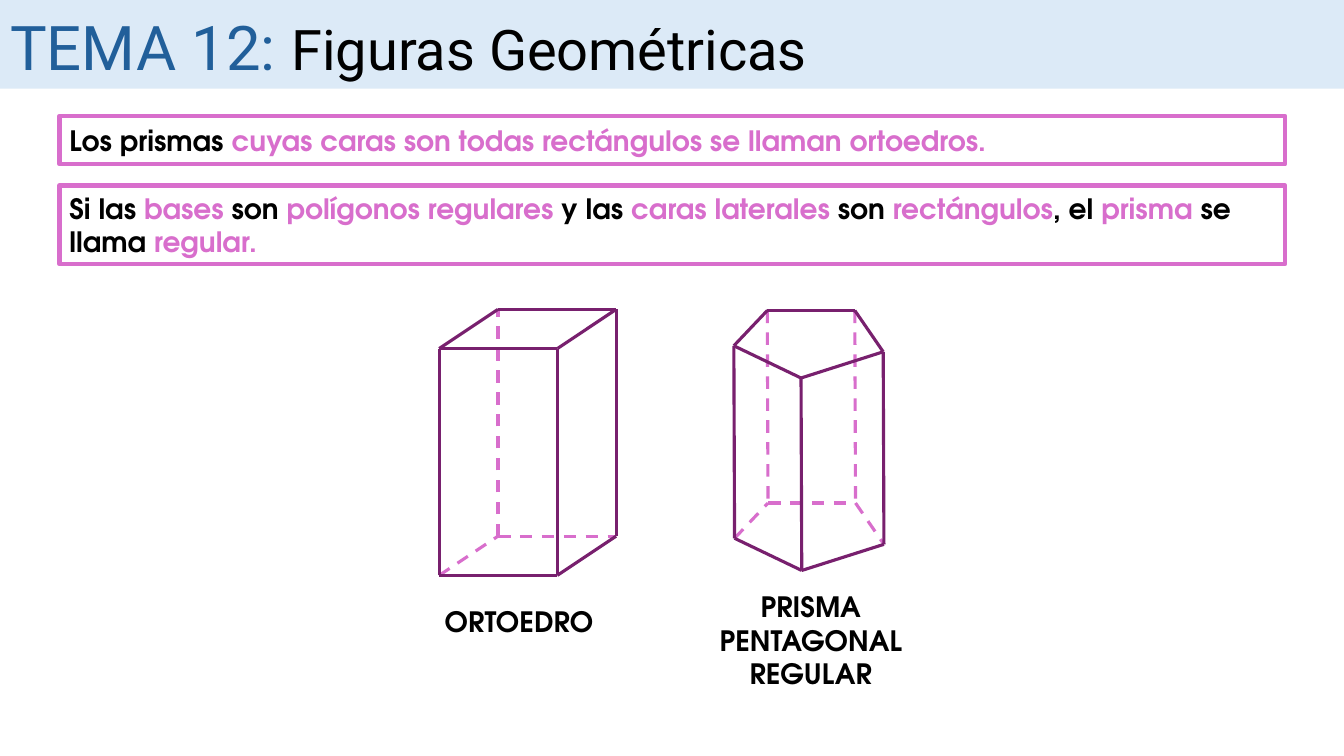
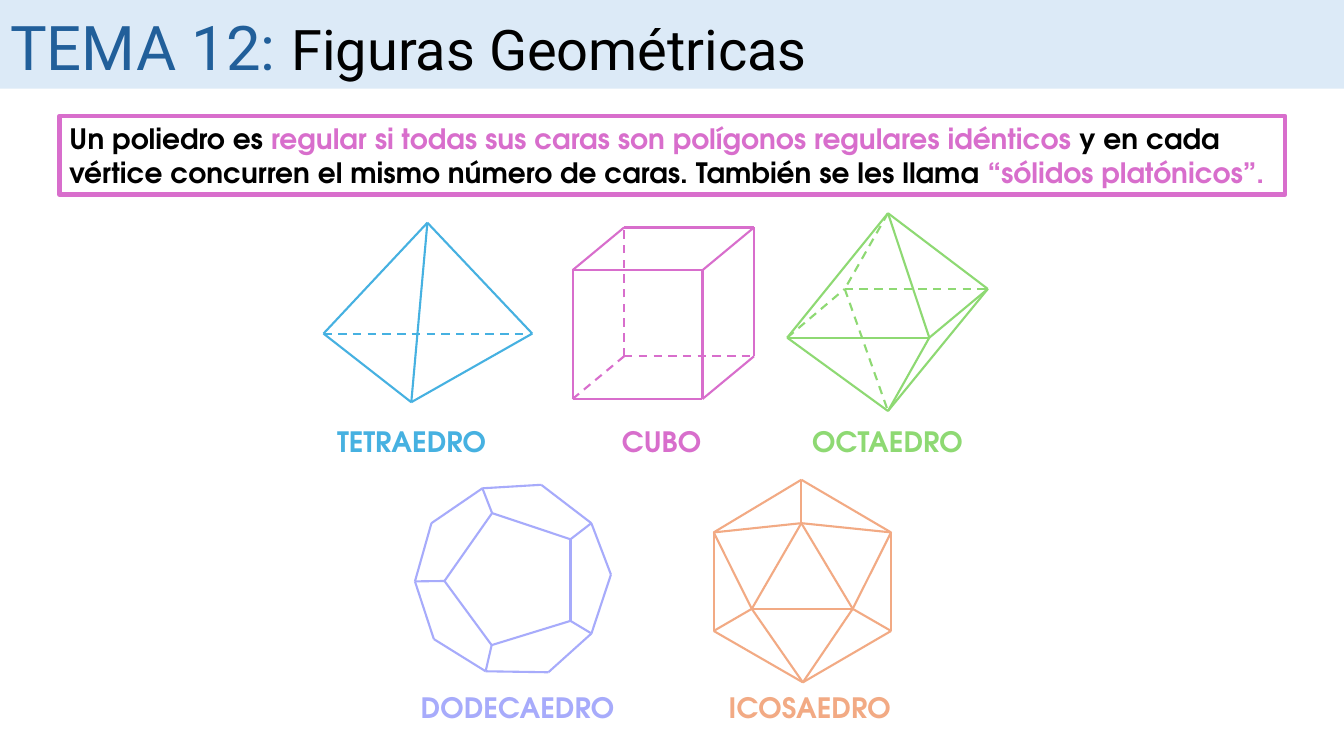
from itertools import pairwise

from lxml.etree import SubElement
from pptx import Presentation
from pptx.dml.color import RGBColor
from pptx.enum.dml import MSO_LINE
from pptx.enum.shapes import MSO_CONNECTOR, MSO_SHAPE
from pptx.enum.text import MSO_ANCHOR, MSO_AUTO_SIZE, PP_ALIGN
from pptx.oxml.ns import qn
from pptx.util import Pt

# Shared style
BLACK, PINK, PURPLE = "000000", "D86ECC", "78206E"
BAND, TITLE_BLUE = "DCEAF7", "215F9A"
BLUE, GREEN, LILAC, ORANGE = "46B1E1", "8ED973", "A7ABFB", "F2AA84"
TITLE_FONT, BODY_FONT = "Roboto", "TeX Gyre Adventor"
PAGE_WIDTH, PAGE_HEIGHT = 960, 540
FRAME_LEFT, FRAME_WIDTH = 42.5, 875.5
LABEL_WIDTH = 188
TITLE = [("TEMA 12: ", 44, TITLE_BLUE), ("Figuras Geométricas", 40, BLACK)]


def oblique_box(left, top, width, height, depth_x, depth_y):
    """Front face ABCD and back face EFGH, clockwise from the top left."""
    front = [(left, top), (left + width, top),
             (left + width, top + height), (left, top + height)]
    back = [(x + depth_x, y - depth_y) for x, y in front]
    return dict(zip("ABCDEFGH", front + back))


def pentagonal_prism(top_face, height):
    """Upper base ABCDE and lower base FGHIJ."""
    base = [(x + 0.5, y + height) for x, y in top_face]
    return dict(zip("ABCDEFGHIJ", top_face + base))


# Solids: each chain of letters is a run of edges through those vertices
BOX_EDGES = {"visible": "ABCDA AEFB FGC", "hidden": "DHE HG"}

ortoedro = {
    "label": "ORTOEDRO", "label_center": 370.8, "label_top": 428.4,
    "points": oblique_box(313.7, 249, 84.4, 162, 42, 28), **BOX_EDGES,
}
prisma = {
    "label": "PRISMA PENTAGONAL\nREGULAR",
    "label_center": 579.2, "label_top": 417.6,
    "points": pentagonal_prism(
        [(524.2, 247), (548.1, 221.8), (610.6, 221.8), (630.9, 251.3), (572.2, 270)], 137.5),
    "visible": "ABCDEA AFJID EJ", "hidden": "FGHI BG CH",
}
tetraedro = {
    "label": "TETRAEDRO", "label_center": 294.1, "label_top": 299.5, "color": BLUE,
    "points": {"A": (305.3, 159.1), "B": (231.1, 238.3),
               "C": (293.8, 287.3), "D": (380.2, 238.3)},
    "visible": "ABCDAC", "hidden": "BD",
}
cubo = {
    "label": "CUBO", "label_center": 472.7, "label_top": 299.5, "color": PINK,
    "points": oblique_box(409, 193, 92.8, 92, 36.8, 30.5), **BOX_EDGES,
}
octaedro = {
    "label": "OCTAEDRO", "label_center": 634, "label_top": 299.5, "color": GREEN,
    "points": {"A": (634.3, 152.3), "B": (562.3, 241.2), "C": (663.8, 241.2),
               "D": (705.6, 206.4), "E": (603.4, 206.4), "F": (634.3, 293.6)},
    "visible": "ABCDA ACF BFD", "hidden": "AEF BED",
}
dodecaedro = {
    "label": "DODECAEDRO", "label_center": 369.7, "label_top": 489.6, "color": LILAC,
    "points": {"A": (351.2, 460.8), "B": (407.5, 443.5), "C": (407.5, 385.2),
               "D": (351.5, 366.5), "E": (317.5, 415),
               "K": (346.9, 479.5), "L": (391.7, 480.2), "M": (422.5, 452.5),
               "N": (436.4, 410.4), "O": (422.4, 373.7), "P": (386.6, 346.3),
               "Q": (344.6, 348.8), "R": (308.2, 373.7), "S": (296.4, 415.3),
               "T": (309.9, 456.5)},
    "visible": "ABCDEA KLMNOPQRSTK AK BM CO DQ ES", "hidden": "",
}
icosaedro = {
    "label": "ICOSAEDRO", "label_center": 578.5, "label_top": 489.6, "color": ORANGE,
    "points": {"A": (572.4, 342.7), "B": (636.5, 380.3), "C": (636.5, 450.7),
               "D": (573.5, 487.4), "E": (509.8, 450.7), "F": (509.8, 380.3),
               "X": (572.4, 373.7), "Y": (609.1, 434.9), "Z": (537, 434.9)},
    "visible": "ABCDEFA XYZX FXB AX BYD CY DZF EZ", "hidden": "",
}

# Pages: frames hold (top, height, spans); spans alternate black and pink
PAGES = [
    {
        "frames": [
            (82.8, 34.6, ["Los prismas ",
                          "cuyas caras son todas rectángulos se llaman ortoedros."]),
            (132.5, 56.2, ["Si las ", "bases", " son ", "polígonos regulares", " y las ",
                           "caras laterales ", "son ", "rectángulos", ", el ", "prisma",
                           " se llama ", "regular."]),
        ],
        "solids": [ortoedro, prisma],
        "line_width": 2.25,
    },
    {
        "frames": [
            (82.8, 56.2, ["Un poliedro es ",
                          "regular si todas sus caras son polígonos regulares idénticos ",
                          "y en cada vértice concurren el mismo número de caras. "
                          "También se les llama ",
                          "“sólidos platónicos”."]),
        ],
        "solids": [tetraedro, cubo, octaedro, icosaedro, dodecaedro],
        "line_width": 1.5,
    },
]


def rgb(color):
    return RGBColor.from_string(color)


def style_span(span, font, size, color, bold=False):
    span.font.name, span.font.size, span.font.bold = font, Pt(size), bold
    span.font.color.rgb = rgb(color)


def add_span(para, text, *style):
    span = para.add_run()
    span.text = text
    style_span(span, *style)


def add_rectangle(page, left, top, width, height):
    box = page.shapes.add_shape(MSO_SHAPE.RECTANGLE, Pt(left), Pt(top), Pt(width), Pt(height))
    box.shadow.inherit = False
    return box


def add_heading(page):
    band = add_rectangle(page, 0, 0, PAGE_WIDTH, 63.4)
    band.fill.solid()
    band.fill.fore_color.rgb = rgb(BAND)
    band.line.fill.background()
    title = page.shapes.title
    band.element.addnext(title.element)  # the title lies over the band
    title.left, title.top, title.width, title.height = Pt(0), Pt(2.9), Pt(853), Pt(60.5)
    frame = title.text_frame
    frame.auto_size = MSO_AUTO_SIZE.NONE
    frame.vertical_anchor = MSO_ANCHOR.TOP
    para = frame.paragraphs[0]
    para.alignment = PP_ALIGN.LEFT
    for text, size, color in TITLE:
        add_span(para, text, TITLE_FONT, size, color)


def add_definition(page, top, height, spans):
    box = add_rectangle(page, FRAME_LEFT, top, FRAME_WIDTH, height)
    box.fill.background()
    box.line.color.rgb = rgb(PINK)
    box.line.width = Pt(3)
    box.text_frame.word_wrap = True
    box.text_frame.vertical_anchor = MSO_ANCHOR.MIDDLE
    para = box.text_frame.paragraphs[0]
    para.alignment = PP_ALIGN.LEFT
    for index, text in enumerate(spans):
        add_span(para, text, BODY_FONT, 20, PINK if index % 2 else BLACK, True)


def add_edge(group, start, end, color, width, dashed):
    edge = group.shapes.add_connector(MSO_CONNECTOR.STRAIGHT, *map(Pt, start + end))
    edge.line.color.rgb = rgb(color)
    edge.line.width = Pt(width)
    if dashed:
        edge.line.dash_style = MSO_LINE.DASH
    SubElement(edge.element.spPr, qn("a:effectLst"))


def add_solid(page, solid, line_width):
    group = page.shapes.add_group_shape()
    for kind, default in (("hidden", PINK), ("visible", PURPLE)):
        for chain in solid[kind].split():
            for start, end in pairwise(chain):
                add_edge(group, solid["points"][start], solid["points"][end],
                         solid.get("color", default), line_width, kind == "hidden")


def add_label(page, solid):
    lines = solid["label"].count("\n") + 1
    box = page.shapes.add_textbox(Pt(solid["label_center"] - LABEL_WIDTH / 2),
                                  Pt(solid["label_top"]), Pt(LABEL_WIDTH), Pt(31.5 * lines))
    box.text_frame.word_wrap = True
    box.text_frame.text = solid["label"]
    for para in box.text_frame.paragraphs:
        para.alignment = PP_ALIGN.CENTER
        style_span(para.runs[0], BODY_FONT, 20, solid.get("color", BLACK), True)


def main():
    deck = Presentation()
    deck.slide_width, deck.slide_height = Pt(PAGE_WIDTH), Pt(PAGE_HEIGHT)
    title_only = deck.slide_layouts[5]
    for content in PAGES:
        page = deck.slides.add_slide(title_only)
        add_heading(page)
        for definition in content["frames"]:
            add_definition(page, *definition)
        for solid in content["solids"]:
            add_solid(page, solid, content["line_width"])
            add_label(page, solid)
    deck.save("out.pptx")


if __name__ == "__main__":
    main()
